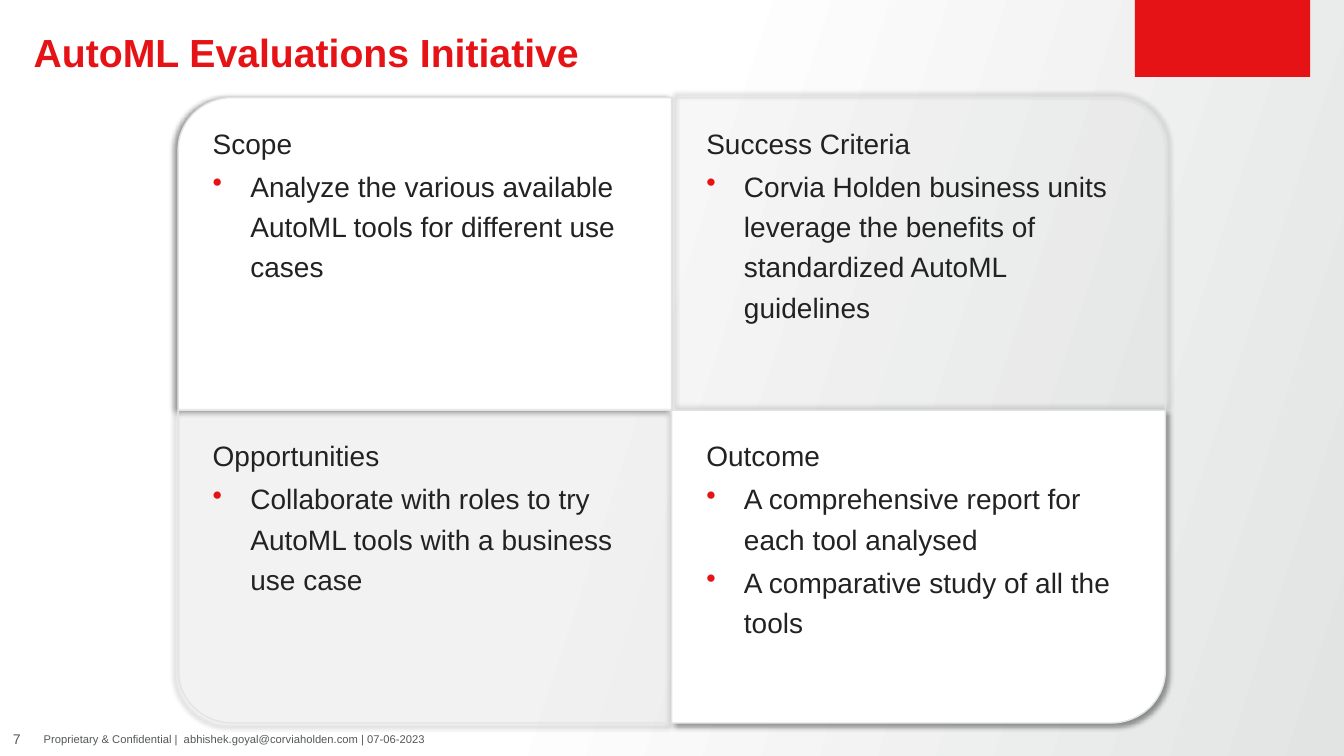
from dataclasses import dataclass
from math import cos, pi, sin

from lxml.etree import SubElement
from pptx import Presentation
from pptx.dml.color import RGBColor
from pptx.enum.shapes import MSO_SHAPE
from pptx.enum.text import MSO_ANCHOR, PP_ALIGN
from pptx.oxml.ns import qn
from pptx.slide import Slide
from pptx.text.text import TextFrame, _Paragraph
from pptx.util import Cm, Length, Pt


@dataclass(frozen=True)
class Theme:
    font: str = "Arial"
    red: str = "E61316"
    white: str = "FFFFFF"
    silver: str = "E2E3E3"
    ink: str = "222222"
    footer_grey: str = "545859"
    title_size: int = 28
    body_size: int = 20
    number_size: int = 10
    footer_size: int = 8


@dataclass(frozen=True)
class Quadrant:
    heading: str
    points: tuple[str, ...]
    side: int  # -1 left of the centre, 1 right of it
    row: int  # -1 above the centre, 1 below it
    fill: str
    opacity: int  # percent
    shadow_angle: int


THEME = Theme()
CENTRE_X, CENTRE_Y = Cm(16.93), Cm(10.34)
PANEL_W, PANEL_H = Cm(12.44), Cm(7.88)
CORNER_W, CORNER_H = Cm(1.37), Cm(1.32)
PADDING_X, PADDING_Y = Cm(0.87), Cm(0.55)
BULLET_INDENT = Cm(0.95)
CORNER_STEPS = 24

QUADRANTS = (
    Quadrant("Scope",
             ("Analyze the various available AutoML tools for different use cases",),
             -1, -1, THEME.white, 100, 180),
    Quadrant("Success Criteria",
             ("Corvia Holden business units leverage the benefits of "
              "standardized AutoML guidelines",),
             1, -1, "6F7373", 3, 315),
    Quadrant("Opportunities",
             ("Collaborate with roles to try AutoML tools with a business use case",),
             -1, 1, "909090", 6, 135),
    Quadrant("Outcome",
             ("A comprehensive report for each tool analysed",
              "A comparative study of all the tools"),
             1, 1, THEME.white, 100, 45),
)


def rgb(colour: str) -> RGBColor:
    return RGBColor.from_string(colour)


def style(paragraph: _Paragraph, size: int, colour: str, bold: bool = False) -> None:
    for run in paragraph.runs:
        run.font.name = THEME.font
        run.font.size = Pt(size)
        run.font.bold = bold
        run.font.color.rgb = rgb(colour)


def add_frame(slide: Slide, left: Length, top: Length, width: Length, height: Length,
              text: str, margin: Length = Cm(0)) -> TextFrame:
    frame = slide.shapes.add_textbox(left, top, width, height).text_frame
    frame.word_wrap = True
    frame.margin_left = frame.margin_right = margin
    frame.margin_top = frame.margin_bottom = Cm(0)
    frame.text = text
    return frame


def add_bullet(paragraph: _Paragraph) -> None:
    properties = paragraph._p.get_or_add_pPr()
    properties.set("marL", str(BULLET_INDENT))
    properties.set("indent", str(-BULLET_INDENT))
    colour = SubElement(properties, qn("a:buClr"))
    SubElement(colour, qn("a:srgbClr"), val=THEME.red)
    SubElement(properties, qn("a:buChar"), char="•")


def set_background(slide: Slide) -> None:
    fill = slide.background.fill
    fill.gradient()
    fill.gradient_angle = 342
    for stop, position, colour in zip(fill.gradient_stops, (0.45, 1.0),
                                      (THEME.white, THEME.silver)):
        stop.position = position
        stop.color.rgb = rgb(colour)


def add_panel(slide: Slide, quadrant: Quadrant) -> None:
    """Draw a panel from the shared centre outwards, rounding its outer corner."""
    outer_x = CENTRE_X + quadrant.side * PANEL_W
    outer_y = CENTRE_Y + quadrant.row * PANEL_H
    arc_x = outer_x - quadrant.side * CORNER_W
    arc_y = outer_y - quadrant.row * CORNER_H
    angles = [pi / 2 * step / CORNER_STEPS for step in range(CORNER_STEPS + 1)]
    corner = [(arc_x + quadrant.side * CORNER_W * cos(angle),
               arc_y + quadrant.row * CORNER_H * sin(angle)) for angle in angles]

    outline = slide.shapes.build_freeform(CENTRE_X, CENTRE_Y)
    outline.add_line_segments([(outer_x, CENTRE_Y), *corner, (CENTRE_X, outer_y)])
    panel = outline.convert_to_shape()
    panel.fill.solid()
    panel.fill.fore_color.rgb = rgb(quadrant.fill)
    panel.line.color.rgb = rgb(THEME.silver)
    panel.line.width = Pt(1)
    panel.shadow.inherit = False

    properties = panel._element.spPr
    if quadrant.opacity < 100:
        fill_colour = properties.find(f"{qn('a:solidFill')}/{qn('a:srgbClr')}")
        SubElement(fill_colour, qn("a:alpha"), val=str(quadrant.opacity * 1000))
    shadow = SubElement(properties.find(qn("a:effectLst")), qn("a:outerShdw"),
                        blurRad=str(Pt(4)), dist=str(Pt(3)),
                        dir=str(quadrant.shadow_angle * 60000), rotWithShape="0")
    shadow_colour = SubElement(shadow, qn("a:srgbClr"), val="000000")
    SubElement(shadow_colour, qn("a:alpha"), val="40000")


def add_quadrant_text(slide: Slide, quadrant: Quadrant) -> None:
    left = CENTRE_X + min(quadrant.side, 0) * PANEL_W + PADDING_X
    top = CENTRE_Y + min(quadrant.row, 0) * PANEL_H + PADDING_Y
    frame = add_frame(slide, left, top, PANEL_W - 2 * PADDING_X,
                      PANEL_H - 2 * PADDING_Y, quadrant.heading)
    for point in quadrant.points:
        paragraph = frame.add_paragraph()
        paragraph.text = point
        add_bullet(paragraph)
        paragraph.space_before = Pt(2)
    for paragraph in frame.paragraphs:
        paragraph.line_spacing = 1.2
        style(paragraph, THEME.body_size, THEME.ink)


def add_header(slide: Slide) -> None:
    corner_block = slide.shapes.add_shape(MSO_SHAPE.RECTANGLE, Cm(28.6), Cm(0),
                                          Cm(4.42), Cm(1.94))
    corner_block.shadow.inherit = False
    corner_block.fill.solid()
    corner_block.fill.fore_color.rgb = rgb(THEME.red)
    corner_block.line.fill.background()

    title = add_frame(slide, Cm(0.85), Cm(0.85), Cm(27.1), Cm(1.06),
                      "AutoML Evaluations Initiative").paragraphs[0]
    title.line_spacing = 0.9
    style(title, THEME.title_size, THEME.red, bold=True)


def add_footer(slide: Slide) -> None:
    top, height = Cm(18.2), Cm(0.85)
    number = add_frame(slide, Cm(0), top, Cm(0.85), height, "7")
    number.paragraphs[0].alignment = PP_ALIGN.CENTER
    notice = add_frame(
        slide, Cm(0.85), top, Cm(16.09), height,
        "Proprietary & Confidential |  abhishek.goyal@corviaholden.com | 07-06-2023",
        Cm(0.25))
    for frame, size in ((number, THEME.number_size), (notice, THEME.footer_size)):
        frame.vertical_anchor = MSO_ANCHOR.MIDDLE
        style(frame.paragraphs[0], size, THEME.footer_grey)


def main() -> None:
    presentation = Presentation()
    presentation.slide_width, presentation.slide_height = Cm(33.87), Cm(19.05)
    slide = presentation.slides.add_slide(presentation.slide_layouts[6])
    set_background(slide)
    add_header(slide)
    add_footer(slide)
    for quadrant in QUADRANTS:
        add_panel(slide, quadrant)
    for quadrant in QUADRANTS:
        add_quadrant_text(slide, quadrant)
    presentation.save("out.pptx")


if __name__ == "__main__":
    main()
